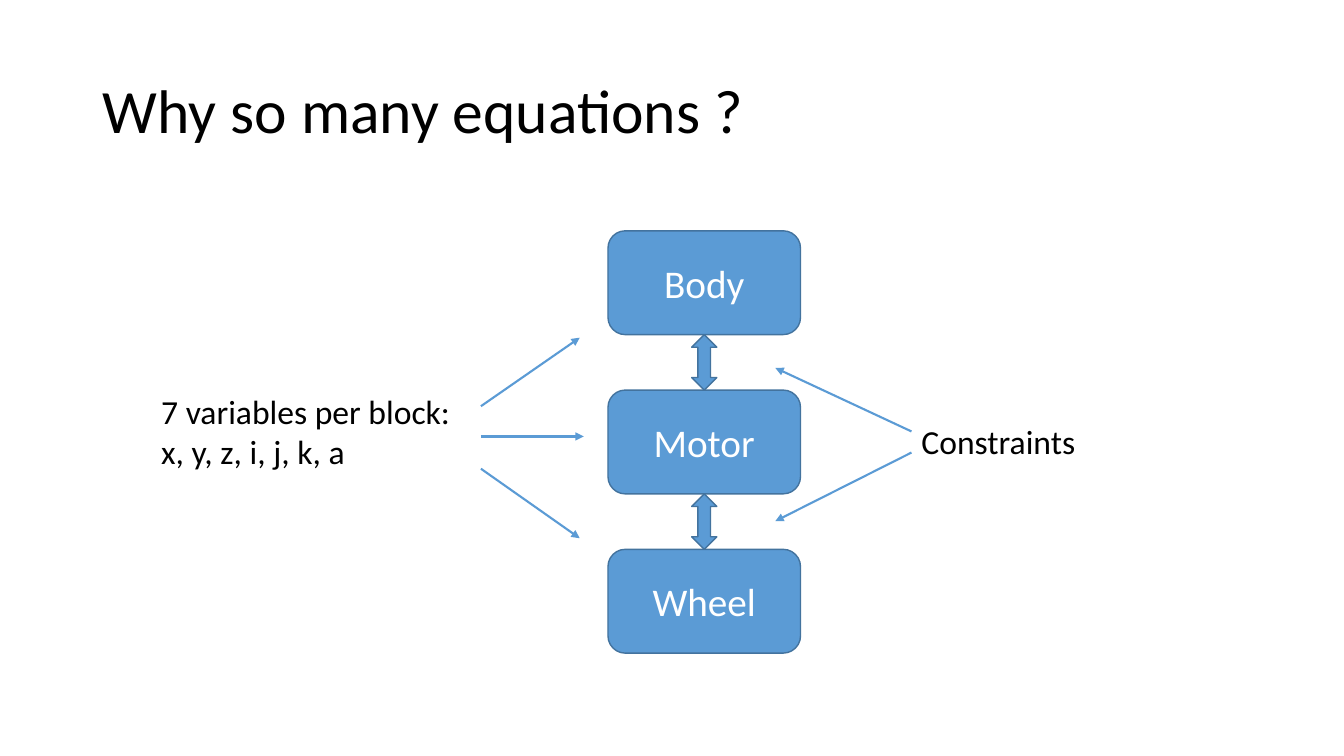
from lxml import etree
from pptx import Presentation
from pptx.dml.color import RGBColor
from pptx.enum.shapes import MSO_CONNECTOR, MSO_SHAPE
from pptx.enum.text import MSO_ANCHOR, MSO_AUTO_SIZE, PP_ALIGN
from pptx.oxml.ns import qn
from pptx.util import Inches, Pt

STRAIGHT = MSO_CONNECTOR.STRAIGHT
BLOCK, LINK = MSO_SHAPE.ROUNDED_RECTANGLE, MSO_SHAPE.UP_DOWN_ARROW
MIDDLE, LEFT, CENTER = MSO_ANCHOR.MIDDLE, PP_ALIGN.LEFT, PP_ALIGN.CENTER
FIT_SHAPE = MSO_AUTO_SIZE.SHAPE_TO_FIT_TEXT

FONT = "Calibri"
BLUE, OUTLINE, BLACK, WHITE = "5B9BD5", "43739E", "000000", "FFFFFF"
TITLE = "Why so many equations ?"
BLOCKS = ["Body", "Motor", "Wheel"]
LABELS = [
    ("7 variables per block:\nx, y, z, i, j, k, a", (1.5, 3.83, 3.09, 0.91)),
    ("Constraints", (9.04, 4.13, 1.74, 0.5)),
]
POINTERS = [
    ((4.77, 4.03), (5.75, 3.35)),
    ((4.77, 4.33), (5.79, 4.33)),
    ((4.77, 4.65), (5.75, 5.34)),
    ((9.04, 4.28), (7.69, 3.65)),
    ((9.04, 4.49), (7.69, 5.17)),
]
BLOCK_LEFT, BLOCK_TOP, BLOCK_WIDTH, BLOCK_HEIGHT = 6.03, 2.29, 1.91, 1.03
LINK_WIDTH, LINK_HEIGHT = 0.25, 0.55


def color(value):
    return RGBColor.from_string(value)


def write(shape, text, size, text_color, alignment=LEFT):
    shape.text_frame.text = text
    for paragraph in shape.text_frame.paragraphs:
        paragraph.alignment = alignment
        for run in paragraph.runs:
            run.font.name = FONT
            run.font.size = Pt(size)
            run.font.color.rgb = color(text_color)


def add_blue_shape(slide, kind, *box):
    shape = slide.shapes.add_shape(kind, *map(Inches, box))
    shape.shadow.inherit = False
    shape.fill.solid()
    shape.fill.fore_color.rgb = color(BLUE)
    shape.line.color.rgb = color(OUTLINE)
    shape.line.width = Pt(1)
    return shape


def add_label(slide, text, box):
    label = slide.shapes.add_textbox(*map(Inches, box))
    write(label, text, 24, BLACK)
    label.text_frame.word_wrap = False
    label.text_frame.auto_size = FIT_SHAPE


def add_pointer(slide, start, end):
    pointer = slide.shapes.add_connector(STRAIGHT, *map(Inches, start + end))
    pointer.line.color.rgb = color(BLUE)
    pointer.line.width = Pt(1.5)
    line = pointer.line._get_or_add_ln()
    etree.SubElement(line, qn("a:tailEnd"), type="triangle")
    etree.SubElement(pointer._element.spPr, qn("a:effectLst"))


def add_title(slide):
    title = slide.shapes.title
    title.left, title.top = Inches(0.92), Inches(0.4)
    title.width, title.height = Inches(11.5), Inches(1.45)
    write(title, TITLE, 44, BLACK)
    title.text_frame.vertical_anchor = MIDDLE
    title.text_frame.paragraphs[0].line_spacing = 0.9


def main():
    presentation = Presentation()
    presentation.slide_width = Inches(13.33)
    presentation.slide_height = Inches(7.5)
    slide = presentation.slides.add_slide(presentation.slide_layouts[5])
    add_title(slide)

    tops = [BLOCK_TOP + row * (BLOCK_HEIGHT + LINK_HEIGHT) for row in range(len(BLOCKS))]
    for name, top in zip(BLOCKS, tops):
        block = add_blue_shape(slide, BLOCK, BLOCK_LEFT, top, BLOCK_WIDTH, BLOCK_HEIGHT)
        write(block, name, 28, WHITE, CENTER)
        block.text_frame.vertical_anchor = MIDDLE

    link_left = BLOCK_LEFT + (BLOCK_WIDTH - LINK_WIDTH) / 2
    for top in tops[:-1]:
        add_blue_shape(slide, LINK, link_left, top + BLOCK_HEIGHT, LINK_WIDTH, LINK_HEIGHT)

    for text, box in LABELS:
        add_label(slide, text, box)
    for start, end in POINTERS:
        add_pointer(slide, start, end)

    presentation.save("out.pptx")


if __name__ == "__main__":
    main()
